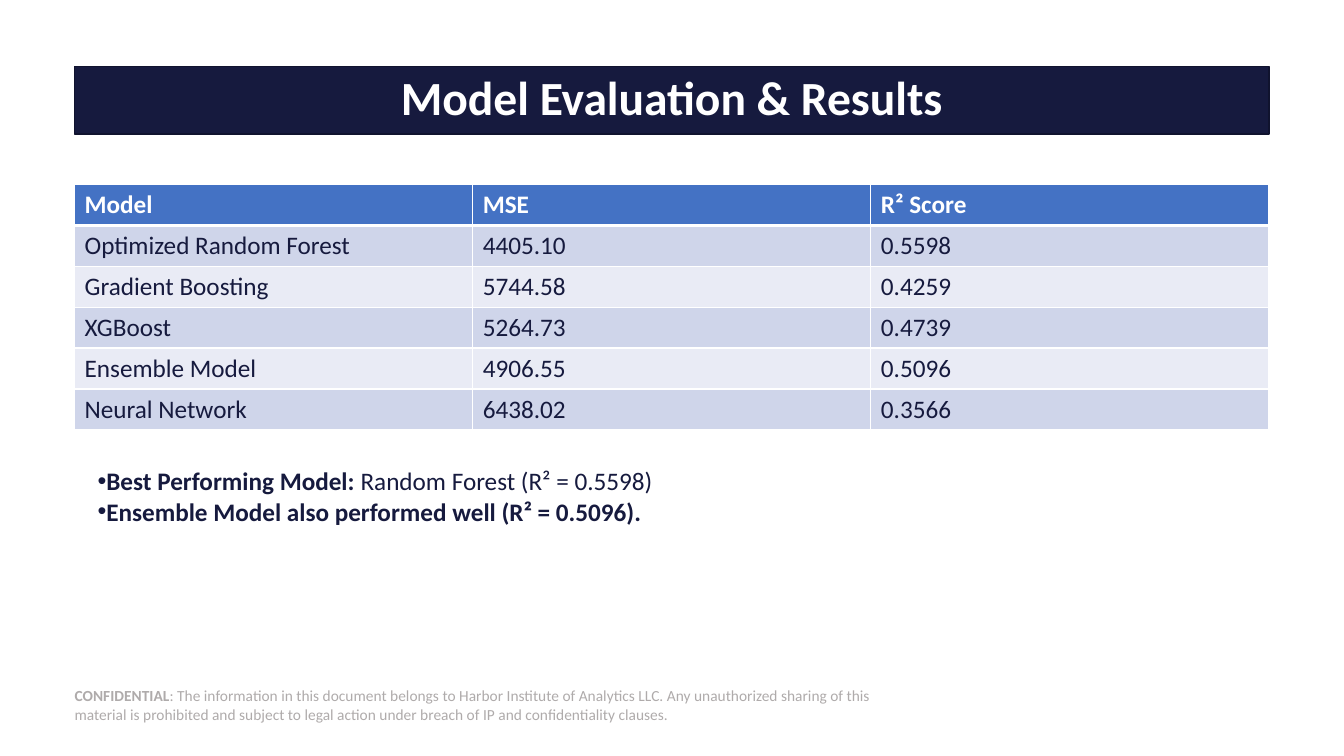
from dataclasses import dataclass

from lxml.etree import SubElement
from pptx import Presentation
from pptx.dml.color import RGBColor
from pptx.enum.shapes import MSO_SHAPE
from pptx.enum.text import MSO_ANCHOR, MSO_AUTO_SIZE, PP_ALIGN
from pptx.oxml.ns import qn
from pptx.slide import Slide
from pptx.table import _Cell
from pptx.text.text import TextFrame, _Paragraph
from pptx.util import Cm, Pt

COLORS = {
    "navy": "161A3E",
    "navy_edge": "10132E",
    "header": "4472C4",
    "band_dark": "CFD5EA",
    "band_light": "E9EBF5",
    "white": "FFFFFF",
    "grey": "AFABAB",
}
FONT = "Calibri"
LEFT, WIDTH = 1.88, 30.1
ROW_HEIGHT = 1.03


@dataclass
class ModelScore:
    model: str
    mse: str
    r_squared: str


@dataclass
class Statement:
    lead: str
    detail: str = ""


HEADINGS = ModelScore("Model", "MSE", "R² Score")
SCORES = [
    ModelScore("Optimized Random Forest", "4405.10", "0.5598"),
    ModelScore("Gradient Boosting", "5744.58", "0.4259"),
    ModelScore("XGBoost", "5264.73", "0.4739"),
    ModelScore("Ensemble Model", "4906.55", "0.5096"),
    ModelScore("Neural Network", "6438.02", "0.3566"),
]
FINDINGS = [
    Statement("Best Performing Model:", " Random Forest (R² = 0.5598)"),
    Statement("Ensemble Model also performed well (R² = 0.5096)."),
]
NOTICE = Statement(
    "CONFIDENTIAL",
    ": The information in this document belongs to Harbor Institute of Analytics LLC. "
    "Any unauthorized sharing of this material is prohibited and subject to legal action "
    "under breach of IP and confidentiality clauses.",
)


def rgb(name: str) -> RGBColor:
    return RGBColor.from_string(COLORS[name])


def write(paragraph: _Paragraph, text: str, size: float, color: str, bold: bool) -> None:
    run = paragraph.add_run()
    run.text = text
    run.font.name = FONT
    run.font.size = Pt(size)
    run.font.bold = bold
    run.font.color.rgb = rgb(color)


def write_statement(paragraph: _Paragraph, statement: Statement, size: float, color: str) -> None:
    write(paragraph, statement.lead, size, color, True)
    if statement.detail:
        write(paragraph, statement.detail, size, color, False)


def center_without_margins(frame: TextFrame) -> None:
    frame.margin_left = frame.margin_right = frame.margin_top = frame.margin_bottom = 0
    frame.vertical_anchor = MSO_ANCHOR.MIDDLE
    frame.word_wrap = True
    frame.auto_size = MSO_AUTO_SIZE.NONE


def add_borders(cell: _Cell, top: float, bottom: float) -> None:
    properties = cell._tc.get_or_add_tcPr()
    for side, points in {"L": 1, "R": 1, "T": top, "B": bottom}.items():
        line = SubElement(properties, qn(f"a:ln{side}"), w=str(Pt(points)))
        fill = SubElement(line, qn("a:solidFill"))
        SubElement(fill, qn("a:srgbClr"), val=COLORS["white"])


def add_notice(slide: Slide) -> None:
    notice = slide.shapes.add_shape(
        MSO_SHAPE.RECTANGLE, Cm(LEFT), Cm(17.25), Cm(20.75), Cm(1.02)
    )
    notice.shadow.inherit = False
    notice.fill.solid()
    notice.fill.fore_color.rgb = rgb("white")
    notice.line.fill.background()
    center_without_margins(notice.text_frame)
    paragraph = notice.text_frame.paragraphs[0]
    paragraph.alignment = PP_ALIGN.LEFT
    write_statement(paragraph, NOTICE, 11, "grey")


def add_scores(slide: Slide) -> None:
    rows = [HEADINGS, *SCORES]
    scores = slide.shapes.add_table(
        len(rows), 3, Cm(LEFT), Cm(4.65), Cm(WIDTH), Cm(ROW_HEIGHT * len(rows))
    ).table
    for row, score in enumerate(rows):
        scores.rows[row].height = Cm(ROW_HEIGHT)
        is_header = row == 0
        band = "header" if is_header else "band_dark" if row % 2 else "band_light"
        for column, value in enumerate((score.model, score.mse, score.r_squared)):
            cell = scores.cell(row, column)
            cell.vertical_anchor = MSO_ANCHOR.MIDDLE
            add_borders(cell, 3 if row == 1 else 1, 3 if is_header else 1)
            cell.fill.solid()
            cell.fill.fore_color.rgb = rgb(band)
            color = "white" if is_header else "navy"
            write(cell.text_frame.paragraphs[0], value, 18, color, is_header)


def add_title(slide: Slide) -> None:
    title = slide.shapes.title
    title.left, title.top, title.width, title.height = Cm(LEFT), Cm(1.68), Cm(WIDTH), Cm(1.7)
    title.fill.solid()
    title.fill.fore_color.rgb = rgb("navy")
    title.line.color.rgb = rgb("navy_edge")
    title.line.width = Pt(1)
    center_without_margins(title.text_frame)
    paragraph = title.text_frame.paragraphs[0]
    paragraph.alignment = PP_ALIGN.CENTER
    paragraph.line_spacing = 0.9
    write(paragraph, "Model Evaluation & Results", 34, "white", True)


def add_findings(slide: Slide) -> None:
    frame = slide.shapes.add_textbox(Cm(2.21), Cm(11.61), Cm(16.92), Cm(1.8)).text_frame
    frame.word_wrap = True
    frame.auto_size = MSO_AUTO_SIZE.SHAPE_TO_FIT_TEXT
    for index, finding in enumerate(FINDINGS):
        paragraph = frame.add_paragraph() if index else frame.paragraphs[0]
        properties = paragraph._p.get_or_add_pPr()
        SubElement(properties, qn("a:buFont"), typeface="Arial")
        SubElement(properties, qn("a:buChar"), char="•")
        write_statement(paragraph, finding, 18, "navy")


def main() -> None:
    presentation = Presentation()
    presentation.slide_width, presentation.slide_height = Cm(33.87), Cm(19.05)
    slide = presentation.slides.add_slide(presentation.slide_layouts[5])
    add_notice(slide)
    add_scores(slide)
    add_title(slide)
    add_findings(slide)
    presentation.save("out.pptx")


if __name__ == "__main__":
    main()
